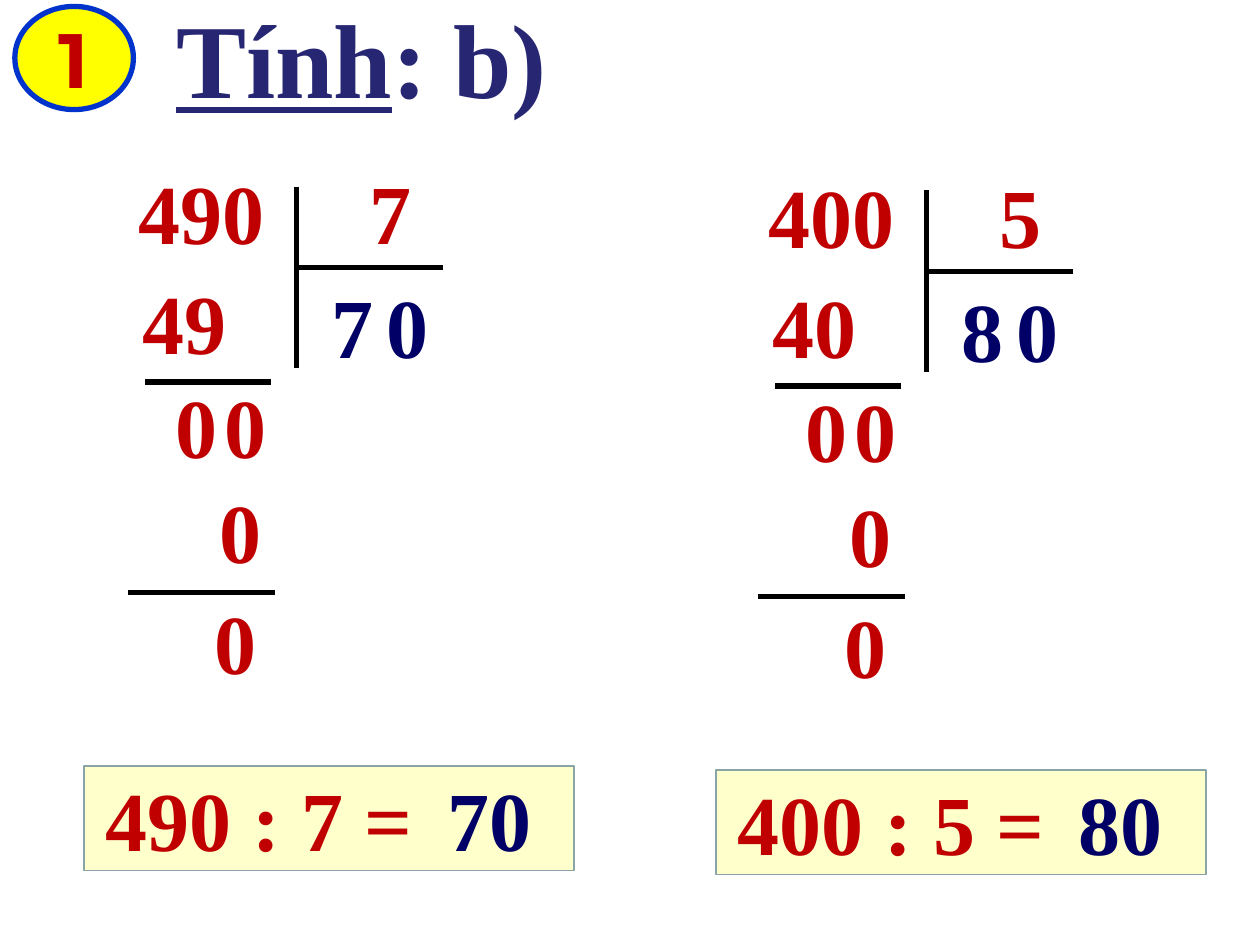
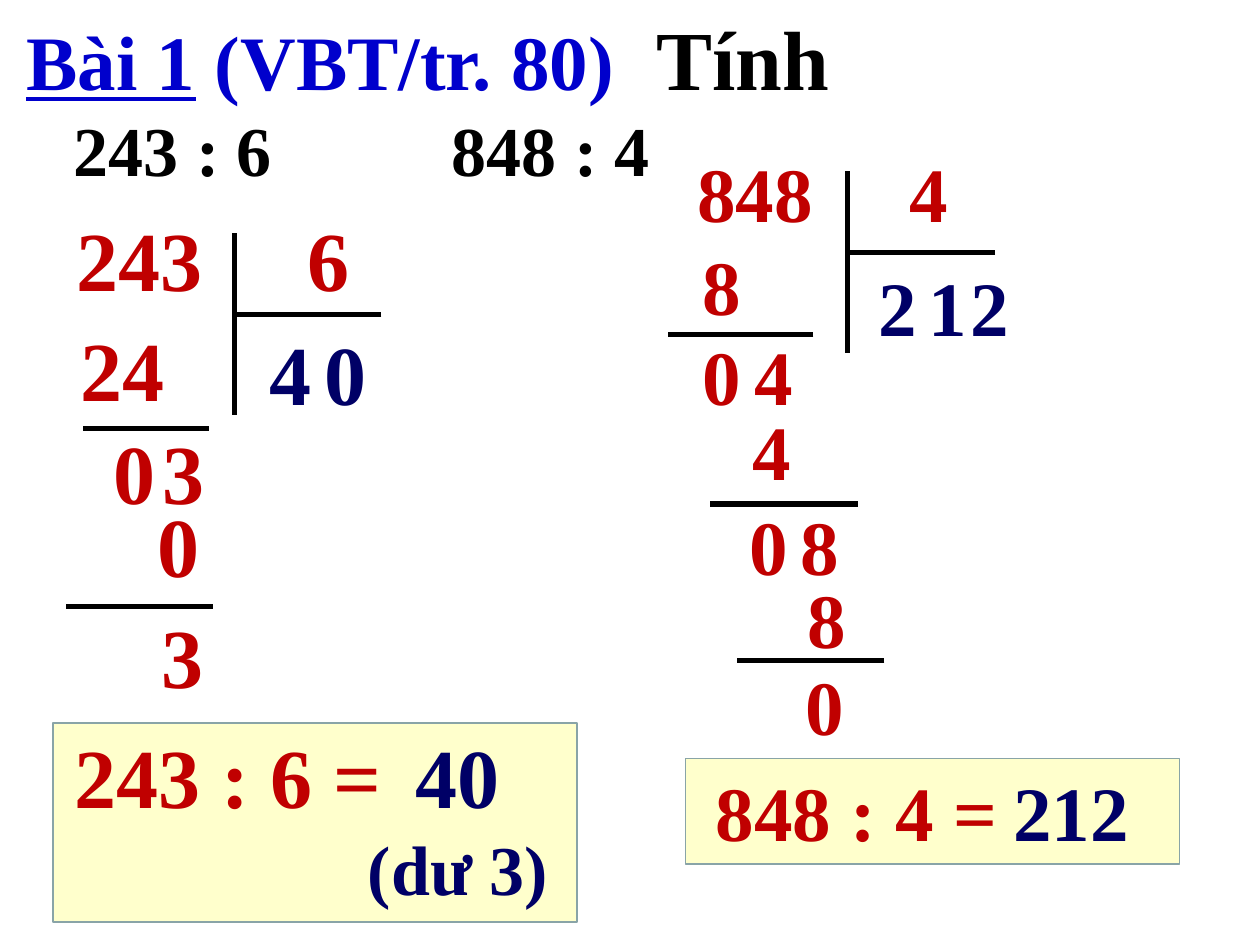
from lxml.etree import SubElement
from pptx import Presentation
from pptx.dml.color import RGBColor
from pptx.enum.shapes import MSO_CONNECTOR, MSO_SHAPE
from pptx.enum.text import MSO_ANCHOR, MSO_AUTO_SIZE, PP_ALIGN
from pptx.oxml.ns import qn
from pptx.util import Cm, Pt

COLORS = {
    "working": "C00000", "quotient": "000066", "title": "262673",
    "exercise": "0000CC", "ink": "000000", "badge": "FFFF00",
    "badge line": "0033CC", "answer": "FFFFCC", "answer line": "89A4A7",
}
SERIF = "Times New Roman"
DIGIT_WIDTH = 2.34
BAR_HEIGHT, BAR_WIDTH, BAR_DROP = 3.66, 2.97, 1.64


def two_digit_steps(product, brought_down, last_product, remainder, shift=0, remainder_x=-1.22):
    """Working of a division with a two-digit quotient; shift raises its last rows."""
    first, second = brought_down
    return {
        "rows": [(product, -2.26, 1.57), (first, -2, 3.66), (second, -1.02, 3.66),
                 (last_product, -1.12, 5.79 - shift), (remainder, remainder_x, 8.03 - shift)],
        "rules": [(-3.05, -0.51, 3.94), (-3.38, -0.43, 8.18 - shift)],
        "quotient columns": [1.14, 2.24],
        "size": 48, "dividend left": -3.43, "divisor tab": 4.66,
        "equation inset": 0.18, "result centre": 8.16, "answer rise": 0.1,
    }


# Rows are (digits, centre, top) and rules are (start, end, height), in cm from the top of the bar.
THREE_DIGIT_STEPS = {
    "rows": [("8", -2.54, 1.24), ("0", -2.54, 3.05), ("4", -1.5, 3.05), ("4", -1.53, 4.57),
             ("0", -1.6, 6.48), ("8", -0.56, 6.48), ("8", -0.42, 7.95), ("0", -0.46, 9.7)],
    "rules": [(-3.63, -0.69, 3.3), (-2.77, 0.2, 6.71), (-2.24, 0.74, 9.86)],
    "quotient columns": [1, 2.01, 2.87],
    "size": 44, "dividend left": -3.28, "divisor tab": 4.27,
    "equation inset": 0.36, "result centre": 7.77, "answer rise": 0,
}

# dividend, divisor, quotient, note, bar position, answer box, working
FIRST_DIVISIONS = [
    ("490", "7", "70", None, (5.97, 3.76), (1.7, 15.44, 9.88, 2.11),
     two_digit_steps("49", "00", "0", "0")),
    ("400", "5", "80", None, (18.67, 3.84), (14.43, 15.52, 9.88, 2.11),
     two_digit_steps("40", "00", "0", "0")),
]
SECOND_DIVISIONS = [
    ("243", "6", "40", "(dư 3)", (4.72, 4.7), (1.07, 14.58, 10.57, 4.01),
     two_digit_steps("24", "03", "0", "3", shift=0.66, remainder_x=-1.05)),
    ("848", "4", "212", None, (17.09, 3.45), (13.82, 15.29, 9.96, 2.13), THREE_DIGIT_STEPS),
]


def rgb(name):
    return RGBColor.from_string(COLORS[name])


def format_paragraph(paragraph, size, color, align=PP_ALIGN.LEFT, tab=None, font=SERIF):
    paragraph.alignment = align
    if tab:
        tabs = SubElement(paragraph._p.get_or_add_pPr(), qn("a:tabLst"))
        SubElement(tabs, qn("a:tab"), pos=str(Cm(tab)), algn="l")
    paragraph.font.name = font
    paragraph.font.size = Pt(size)
    paragraph.font.bold = True
    paragraph.font.color.rgb = rgb(color)


def add_text(slide, text, left, top, width, size, color, align=PP_ALIGN.LEFT, tab=None):
    height = size * 0.042 + 0.27
    box = slide.shapes.add_textbox(Cm(left), Cm(top), Cm(width), Cm(height))
    box.text_frame.word_wrap = True
    paragraph = box.text_frame.paragraphs[0]
    paragraph.text = text
    format_paragraph(paragraph, size, color, align, tab)
    return box


def add_centred(slide, text, centre, top, size, color, width=DIGIT_WIDTH):
    return add_text(slide, text, centre - width / 2, top, width, size, color, PP_ALIGN.CENTER)


def add_rule(slide, x1, y1, x2, y2):
    rule = slide.shapes.add_connector(MSO_CONNECTOR.STRAIGHT, Cm(x1), Cm(y1), Cm(x2), Cm(y2))
    rule.line.color.rgb = rgb("ink")
    rule.line.width = Pt(3)
    SubElement(rule._element.spPr, qn("a:effectLst"))


def add_filled(slide, kind, box, fill, line, weight):
    shape = slide.shapes.add_shape(kind, *map(Cm, box))
    shape.shadow.inherit = False
    shape.fill.solid()
    shape.fill.fore_color.rgb = rgb(fill)
    shape.line.color.rgb = rgb(line)
    shape.line.width = Pt(weight)
    return shape


def add_title(slide, box, runs, size, color, tab=None):
    """Fill the title with (text, underlined) runs and return them."""
    title = slide.shapes.title
    title.left, title.top, title.width, title.height = map(Cm, box)
    frame = title.text_frame
    frame.auto_size = MSO_AUTO_SIZE.NONE
    frame.vertical_anchor = MSO_ANCHOR.MIDDLE
    paragraph = frame.paragraphs[0]
    format_paragraph(paragraph, size, color, tab=tab)
    for text, underlined in runs:
        run = paragraph.add_run()
        run.text = text
        run.font.underline = underlined
    return paragraph.runs


def add_text_shadow(run):
    effects = SubElement(run.font._element, qn("a:effectLst"))
    shadow = SubElement(effects, qn("a:outerShdw"), dist="25400", dir="2700000", algn="tl")
    SubElement(shadow, qn("a:srgbClr"), val="808080")


def add_answer(slide, equation, quotient, note, box, steps):
    left, top, width, _ = box
    size = steps["size"]
    text_top = top - steps["answer rise"]
    add_filled(slide, MSO_SHAPE.RECTANGLE, box, "answer", "answer line", 1)
    add_text(slide, equation, left + steps["equation inset"], text_top, 7.5, size, "working")
    result = add_centred(slide, quotient, left + steps["result centre"], text_top, size,
                         "quotient", width=4.7 if note else 3.5)
    if note:
        result.height = Cm(3.99)
        paragraph = result.text_frame.add_paragraph()
        paragraph.text = note
        format_paragraph(paragraph, 40, "quotient", PP_ALIGN.CENTER)


def add_division(slide, dividend, divisor, quotient, note, bar, answer_box, steps):
    x, y = bar
    size = steps["size"]
    add_answer(slide, f"{dividend} : {divisor} =", quotient, note, answer_box, steps)
    add_text(slide, f"{dividend}\t{divisor}", x + steps["dividend left"], y - 0.64, 8.69, size,
             "working", tab=steps["divisor tab"])
    add_rule(slide, x, y, x, y + BAR_HEIGHT)
    add_rule(slide, x + BAR_WIDTH, y + BAR_DROP, x, y + BAR_DROP)
    for digit, column in zip(quotient, steps["quotient columns"]):
        add_centred(slide, digit, x + column, y + 1.65, size, "quotient")
    for digits, centre, top in steps["rows"]:
        add_centred(slide, digits, x + centre, y + top, size, "working")
    for start, end, height in steps["rules"]:
        add_rule(slide, x + end, y + height, x + start, y + height)


def build_first(slide):
    badge = add_filled(slide, MSO_SHAPE.OVAL, (0.3, 0.13, 2.39, 2.08), "badge", "badge line", 3)
    badge.text_frame.vertical_anchor = MSO_ANCHOR.MIDDLE
    paragraph = badge.text_frame.paragraphs[0]
    paragraph.text = "1"
    format_paragraph(paragraph, 44, "working", PP_ALIGN.CENTER, font="Montserrat")
    runs = add_title(slide, (3.3, -0.25, 8, 2.79), [("Tính", True), (": b)", False)], 60, "title")
    for run in runs:
        add_text_shadow(run)


def build_second(slide):
    runs = add_title(slide, (0.28, 0, 23.5, 2.29),
                     [("Bài 1", True), (" (VBT/tr. 80)\t", False), ("Tính", False)],
                     44, "exercise", tab=12.7)
    runs[-1].font.size = Pt(48)
    runs[-1].font.color.rgb = rgb("ink")
    add_text(slide, "243 : 6\t848 : 4", 1.24, 2.03, 23.24, 40, "ink", tab=7.62)


def main():
    presentation = Presentation()
    presentation.slide_width, presentation.slide_height = Cm(25.4), Cm(19.05)
    title_only = presentation.slide_layouts[5]
    for build, divisions in ((build_first, FIRST_DIVISIONS), (build_second, SECOND_DIVISIONS)):
        slide = presentation.slides.add_slide(title_only)
        build(slide)
        for division in divisions:
            add_division(slide, *division)
    presentation.save("out.pptx")


if __name__ == "__main__":
    main()
